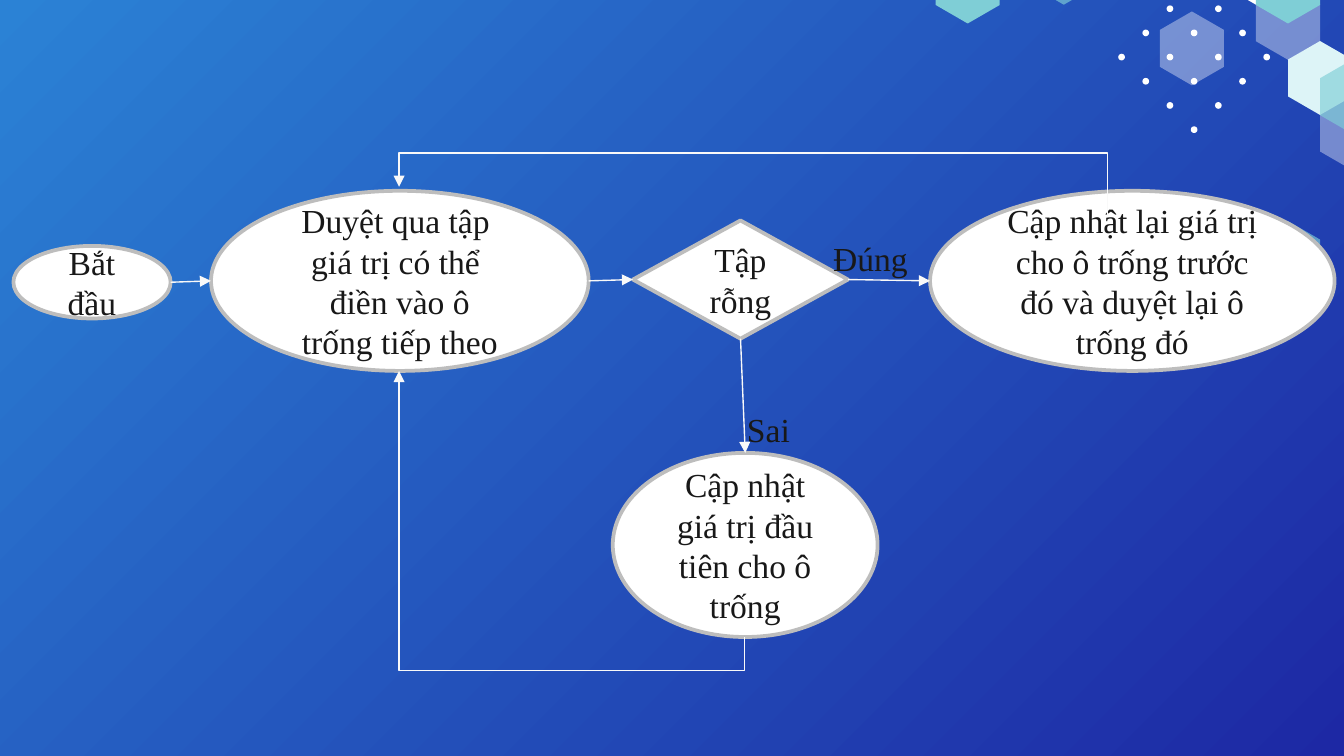
from dataclasses import dataclass

from lxml.etree import SubElement
from pptx import Presentation
from pptx.dml.color import RGBColor
from pptx.enum.shapes import MSO_CONNECTOR, MSO_SHAPE
from pptx.enum.text import MSO_ANCHOR, PP_ALIGN
from pptx.oxml.ns import qn
from pptx.util import Inches, Pt


@dataclass(frozen=True)
class Theme:
    gradient: tuple = ("2B82D5", "1D28A4")
    white: str = "FFFFFF"
    teal: str = "7FCED6"
    ice: str = "DDF4F7"
    outline: str = "BDBDBD"
    arrow: str = "F9F9F9"
    text: str = "181818"
    font: str = "Times New Roman"
    text_size: float = 18
    outline_width: float = 2
    arrow_width: float = 0.75


THEME = Theme()
TOP, LEFT, BOTTOM, RIGHT = range(4)
DOT_SIZE, DOT_STEP = 0.05, 0.18
HEXAGON_FIRST_COLUMN = 7.2
HEXAGON_COLUMN = 2.86 / 12
HEXAGON_HEIGHT = 0.55

HEXAGONS = [
    (10, 0.17, THEME.white, 38),
    (9, -0.24, THEME.white, 100),
    (3, -0.24, THEME.teal, 65),
    (11, 0.58, THEME.ice, 100),
    (12, 0.99, THEME.white, 38),
    (7, 0.36, THEME.white, 38),
    (10, -0.1, THEME.teal, 100),
    (0, -0.1, THEME.teal, 100),
    (12, 0.72, THEME.teal, 65),
    (10, 1.92, THEME.teal, 65),
]


def color(value):
    return RGBColor.from_string(value)


def paint(shape, fill, opacity=100):
    shape.shadow.inherit = False
    shape.fill.solid()
    shape.fill.fore_color.rgb = color(fill)
    shape.line.fill.background()
    if opacity < 100:
        fill_color = shape.fill._xPr.find(qn("a:solidFill"))[0]
        SubElement(fill_color, qn("a:alpha")).set("val", str(opacity * 1000))


def paint_background(slide):
    fill = slide.background.fill
    fill.gradient()
    fill.gradient_angle = 315
    for stop, value in zip(fill.gradient_stops, THEME.gradient):
        stop.color.rgb = color(value)


def add_dots(slide):
    for row, reach in enumerate((1, 2, 3, 2, 1, 0)):
        for column in range(3 - reach, 4 + reach, 2):
            left = 8.32 + column * DOT_STEP
            top = 0.04 + row * DOT_STEP
            dot = slide.shapes.add_shape(
                MSO_SHAPE.OVAL, Inches(left), Inches(top), Inches(DOT_SIZE), Inches(DOT_SIZE)
            )
            paint(dot, THEME.white)


def add_hexagon(slide, column, center_y, fill, opacity):
    center_x = HEXAGON_FIRST_COLUMN + column * HEXAGON_COLUMN
    corners = [(0, -2), (1, -1), (1, 1), (0, 2), (-1, 1), (-1, -1)]
    points = [
        (Inches(center_x + x * HEXAGON_COLUMN), Inches(center_y + y * HEXAGON_HEIGHT / 4))
        for x, y in corners
    ]
    builder = slide.shapes.build_freeform(*points[0])
    builder.add_line_segments(points[1:], close=True)
    paint(builder.convert_to_shape(), fill, opacity)


def write(frame, lines, alignment):
    frame.word_wrap = True
    frame.text = "\n".join(lines)
    for paragraph in frame.paragraphs:
        paragraph.alignment = alignment
        paragraph.font.name = THEME.font
        paragraph.font.size = Pt(THEME.text_size)
        paragraph.font.color.rgb = color(THEME.text)


def add_node(slide, kind, box, *lines):
    node = slide.shapes.add_shape(kind, *map(Inches, box))
    paint(node, THEME.white)
    node.line.color.rgb = color(THEME.outline)
    node.line.width = Pt(THEME.outline_width)
    node.text_frame.vertical_anchor = MSO_ANCHOR.MIDDLE
    write(node.text_frame, lines, PP_ALIGN.CENTER)
    return node


def add_label(slide, box, text):
    label = slide.shapes.add_textbox(*map(Inches, box))
    write(label.text_frame, [text], PP_ALIGN.LEFT)


def style_arrow(connector):
    connector.line.color.rgb = color(THEME.arrow)
    connector.line.width = Pt(THEME.arrow_width)
    SubElement(connector.line._get_or_add_ln(), qn("a:tailEnd")).set("type", "triangle")
    SubElement(connector._element.spPr, qn("a:effectLst"))


def connection_site(shape, side):
    return side * 2 if shape.auto_shape_type == MSO_SHAPE.OVAL else side


def add_arrow(slide, source, source_side, target, target_side):
    connector = slide.shapes.add_connector(MSO_CONNECTOR.STRAIGHT, 0, 0, 0, 0)
    connector.begin_connect(source, source_side)
    connector.end_connect(target, target_side)
    joints = connector._element.nvCxnSpPr.cNvCxnSpPr
    joints.stCxn.idx = connection_site(source, source_side)
    joints.endCxn.idx = connection_site(target, target_side)
    style_arrow(connector)


def add_loop(slide, start, end, turn_y):
    center_x, center_y = ((a + b) / 2 for a, b in zip(start, end))
    unrotated = [
        Inches(value)
        for x, y in (start, end)
        for value in (center_x + y - center_y, center_y - x + center_x)
    ]
    connector = slide.shapes.add_connector(MSO_CONNECTOR.ELBOW, *unrotated)
    properties = connector._element.spPr
    properties.find(qn("a:xfrm")).set("rot", str(90 * 60000))
    bend = round((turn_y - start[1]) / (end[1] - start[1]) * 100000)
    guide = SubElement(properties.find(qn("a:prstGeom")).find(qn("a:avLst")), qn("a:gd"))
    guide.set("name", "adj1")
    guide.set("fmla", f"val {bend}")
    style_arrow(connector)


def add_flow(slide):
    oval, diamond = MSO_SHAPE.OVAL, MSO_SHAPE.DIAMOND
    begin = add_node(slide, oval, (0.1, 1.83, 1.17, 0.54), "Bắt đầu")
    scan = add_node(
        slide, oval, (1.57, 1.42, 2.81, 1.34),
        "Duyệt qua tập ", "giá trị có thể ", "điền vào ô", "trống tiếp theo",
    )
    assign = add_node(
        slide, oval, (4.56, 3.37, 1.97, 1.37), "Cập nhật giá trị đầu tiên cho ô trống"
    )
    backtrack = add_node(
        slide, oval, (6.92, 1.42, 3.01, 1.34),
        "Cập nhật lại giá trị cho ô trống trước đó và duyệt lại ô trống đó",
    )
    empty_check = add_node(slide, diamond, (4.71, 1.64, 1.6, 0.88), "Tập rỗng")

    add_arrow(slide, begin, RIGHT, scan, LEFT)
    add_arrow(slide, scan, RIGHT, empty_check, LEFT)
    add_arrow(slide, empty_check, RIGHT, backtrack, LEFT)
    add_label(slide, (6.1, 1.72, 0.85, 0.4), "Đúng")
    add_arrow(slide, empty_check, BOTTOM, assign, TOP)
    add_label(slide, (5.46, 2.99, 0.64, 0.4), "Sai")
    add_loop(slide, (5.54, 4.74), (2.97, 2.76), 4.99)
    add_loop(slide, (8.24, 1.61), (2.97, 1.39), 1.14)


def main():
    presentation = Presentation()
    presentation.slide_width = Inches(10)
    presentation.slide_height = presentation.slide_width * 9 // 16
    slide = presentation.slides.add_slide(presentation.slide_layouts[6])
    paint_background(slide)
    add_dots(slide)
    for hexagon in HEXAGONS:
        add_hexagon(slide, *hexagon)
    add_flow(slide)
    presentation.save("out.pptx")


if __name__ == "__main__":
    main()
